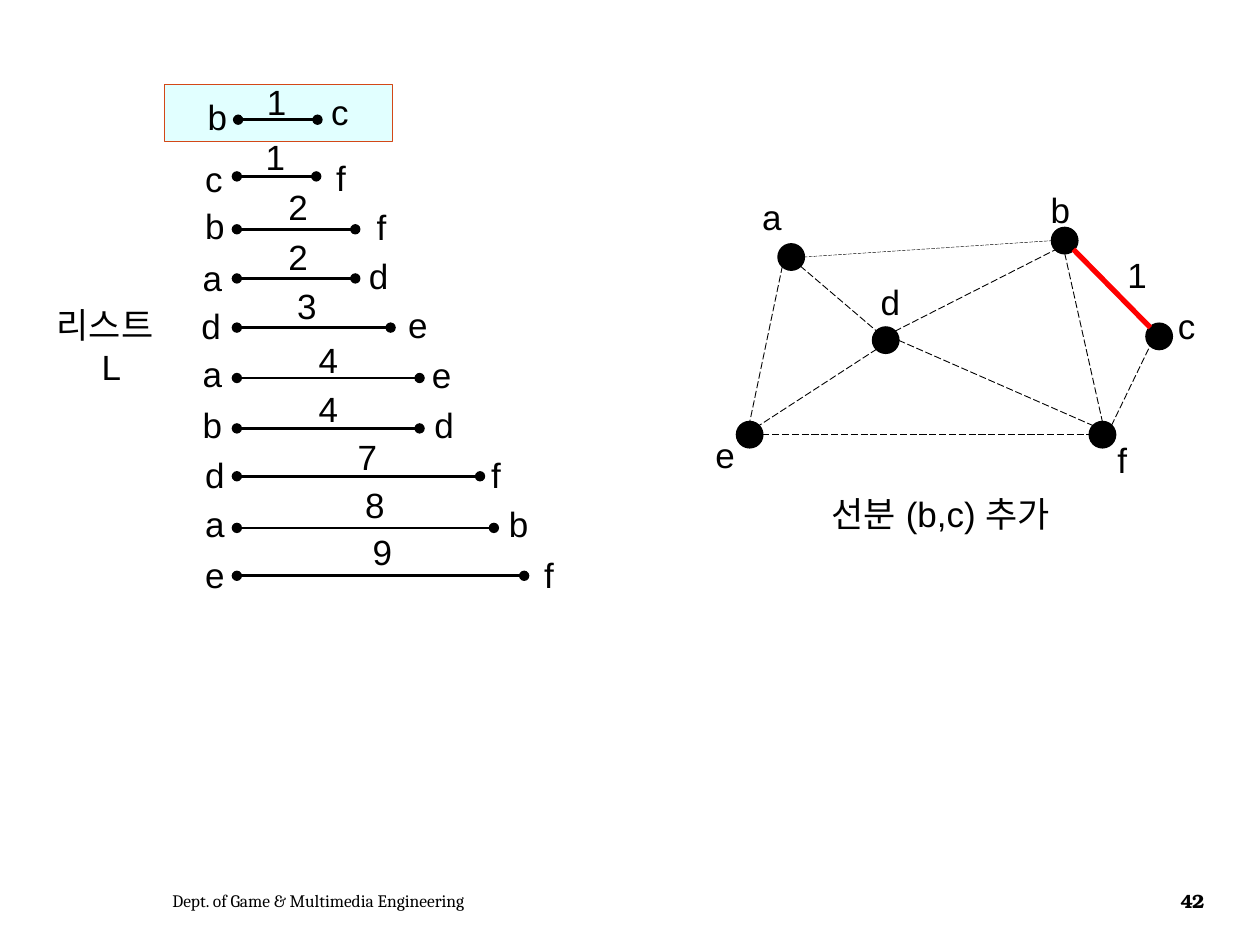
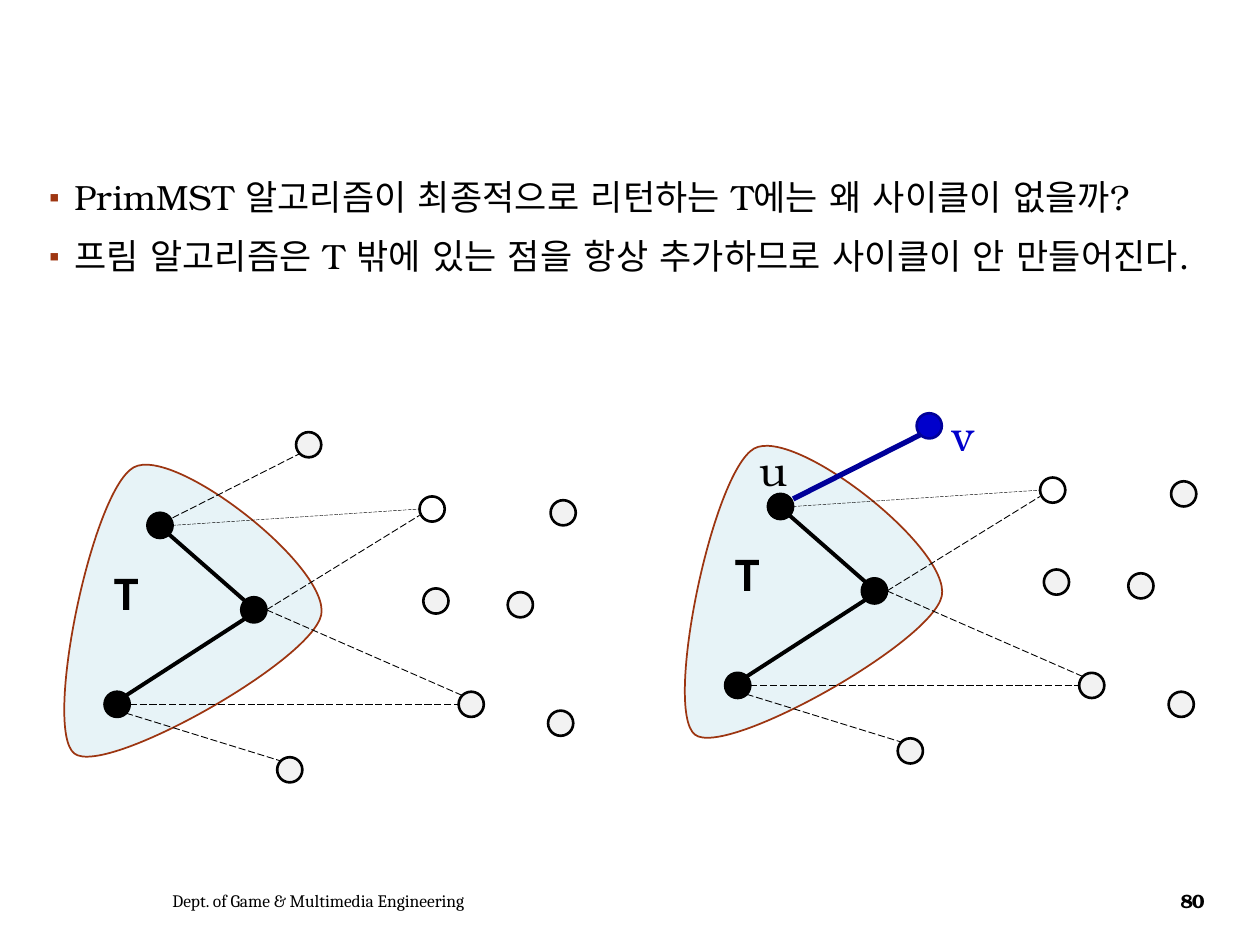
from dataclasses import dataclass
from typing import Any, NamedTuple

from lxml import etree
from pptx import Presentation, util as u
from pptx.dml.color import RGBColor
from pptx.enum import dml, shapes as sh, text
from pptx.oxml.ns import qn

WIDTH, HEIGHT = u.Inches(10), u.Inches(7.5)
COLS, ROWS = 100, 75


@dataclass(frozen=True)
class Theme:
    black: str = "000000"
    white: str = "FFFFFF"
    outside: str = "F2F2F2"
    picked: str = "FF0000"
    added: str = "0000CC"
    added_line: str = "000099"
    highlight: str = "E1FFFF"
    highlight_line: str = "D34817"
    tree: str = "DBEEF4"
    tree_line: str = "9C3511"
    bullet: str = "9E3611"
    label_font: str = "Arial"
    body_font: str = "TeX Gyre Bonum"
    footer_font: str = "Cambria"
    tree_font: str = "Noto Sans CJK KR"
    label_size: float = 20
    tree_size: float = 24
    footer_size: float = 10
    number_size: float = 11
    tree_opacity: int = 66


T = Theme()


class Point(NamedTuple):
    x: float
    y: float


class Pen(NamedTuple):
    color: str
    width: float
    dashed: bool = False
    dots: bool = False


class Font(NamedTuple):
    name: str
    size: float
    color: str = T.black
    bold: bool = False


class Edge(NamedTuple):
    start: str
    start_side: str
    end: str
    end_side: str
    pen: Pen


class Label(NamedTuple):
    text: str
    x: float
    y: float


class ListRow(NamedTuple):
    y: float
    x1: float
    x2: float
    weight: Label
    left: Label
    right: Label


DASH, FINE_DASH = Pen(T.black, 0.5, True), Pen(T.black, 0.25, True)
OUTLINE, TREE_EDGE = Pen(T.black, 1.5), Pen(T.black, 2.25)
SEGMENT = Pen(T.black, 1.5, dots=True)
LABEL = Font(T.label_font, T.label_size)
LETTER_WIDTHS = {"f": 2.9, "c": 3.4, "a": 3.5, "e": 3.6}
SIDES = {
    "n": (0, -1), "s": (0, 1), "w": (-1, 0), "e": (1, 0),
    "nw": (-0.7, -0.7), "ne": (0.7, -0.7), "sw": (-0.7, 0.7), "se": (0.7, 0.7),
    "ene": (1, -0.6), "wsw": (-1, 0.5),
}

GRAPH_NODES = {
    "a": Point(62.8, 20.4), "b": Point(84.5, 19.1), "d": Point(70.3, 27),
    "e": Point(59.5, 34.5), "c": Point(92, 26.7), "f": Point(87.5, 34.5),
}
GRAPH_EDGES = [
    Edge("a", "se", "d", "nw", DASH), Edge("d", "sw", "e", "ne", DASH),
    Edge("a", "sw", "e", "n", DASH), Edge("d", "e", "f", "nw", DASH),
    Edge("e", "e", "f", "w", DASH), Edge("a", "e", "b", "w", FINE_DASH),
    Edge("d", "ne", "b", "sw", DASH), Edge("c", "nw", "b", "se", Pen(T.picked, 3)),
    Edge("f", "ne", "c", "sw", DASH), Edge("b", "s", "f", "n", DASH),
]
GRAPH_LABELS = [
    Label("1", 88.5, 19.6), Label("a", 59.5, 15), Label("b", 82.4, 14.5),
    Label("c", 92.5, 23.7), Label("d", 68.9, 21.8), Label("e", 55.8, 33.9),
    Label("f", 87.7, 34.3),
]
LIST_ROWS = [
    ListRow(9.5, 18.9, 25.2, Label("1", 20.2, 5.9), Label("b", 15.5, 7.1), Label("c", 25.3, 6.7)),
    ListRow(14, 18.8, 25.1, Label("1", 20.1, 10.3), Label("c", 15.3, 12), Label("f", 25.7, 11.9)),
    ListRow(18.2, 18.8, 28.2, Label("2", 21.9, 14.2), Label("b", 15.3, 15.7), Label("f", 28.9, 15.8)),
    ListRow(22.1, 18.8, 28.2, Label("2", 21.9, 18.2), Label("a", 15.1, 19.9), Label("d", 28.3, 19.7)),
    ListRow(26, 18.8, 31, Label("3", 22.6, 22.1), Label("d", 15, 23.7), Label("e", 31.4, 23.6)),
    ListRow(30, 18.8, 33.3, Label("4", 24.3, 26.4), Label("a", 15.1, 27.5), Label("e", 33.3, 27.6)),
    ListRow(34, 18.8, 33.3, Label("4", 24.3, 30.3), Label("b", 15.1, 31.5), Label("d", 33.5, 31.5)),
    ListRow(37.8, 18.8, 38.1, Label("7", 27.4, 34.1), Label("d", 15.3, 35.5), Label("f", 38, 35.5)),
    ListRow(41.9, 18.8, 39.2, Label("8", 28, 37.9), Label("a", 15.3, 39.4), Label("b", 39.4, 39.4)),
    ListRow(45.7, 18.8, 41.6, Label("9", 28.6, 41.6), Label("e", 15.3, 43.4), Label("f", 42.2, 43.4)),
]

TREE_NODES = {"u": Point(12.7, 41.7), "mid": Point(20.15, 48.4), "low": Point(9.3, 55.9)}
OUTSIDE_NODES = {
    "near": Point(34.3, 40.4), "far": Point(37.4, 55.9), "bottom": Point(23, 61.1),
    "v": Point(24.5, 35.3),
}
LOOSE_NODES = [Point(41.3, 48), Point(44.5, 57.4), Point(34.6, 47.7), Point(44.7, 40.7)]
PRIM_EDGES = [
    Edge("u", "se", "mid", "nw", TREE_EDGE), Edge("mid", "sw", "low", "ne", TREE_EDGE),
    Edge("mid", "e", "far", "nw", DASH), Edge("low", "e", "far", "w", DASH),
    Edge("u", "e", "near", "w", FINE_DASH), Edge("low", "se", "bottom", "nw", DASH),
    Edge("mid", "e", "near", "wsw", DASH),
]
RIGHT_OFFSET = Point(49.25, -1.5)
BLOB_CORNER, BLOB_SIZE = Point(5.1, 36.9), Point(20.4, 23.1)
BLOB_START = Point(5.9, 59.8)
BLOB_CURVES = [
    (Point(3.4, 57.8), Point(7.3, 39), Point(10.6, 37.1)),
    (Point(13.8, 35.3), Point(26.2, 45), Point(25.5, 48.8)),
    (Point(24.7, 52.5), Point(8.3, 61.7), BLOB_START),
]
BODY_LINES = [
    "PrimMST 알고리즘이 최종적으로 리턴하는 T에는 왜 사이클이 없을까?",
    "프림 알고리즘은 T 밖에 있는 점을 항상 추가하므로 사이클이 안 만들어진다.",
]


def col(n: float) -> int:
    return round(WIDTH * n / COLS)


def row(n: float) -> int:
    return round(HEIGHT * n / ROWS)


def box(x: float, y: float, w: float, h: float) -> tuple[int, int, int, int]:
    return col(x), row(y), col(w), row(h)


def move(p: Point, by: Point) -> Point:
    return Point(p.x + by.x, p.y + by.y)


def style_runs(p: Any, font: Font) -> None:
    for r in p.runs:
        r.font.name, r.font.size, r.font.bold = font.name, u.Pt(font.size), font.bold
        r.font.color.rgb = RGBColor.from_string(font.color)
        etree.SubElement(r.font._element, qn("a:ea"), typeface=font.name)


def style_line(line: Any, pen: Pen) -> None:
    line.color.rgb = RGBColor.from_string(pen.color)
    line.width = u.Pt(pen.width)
    if pen.dashed:
        line.dash_style = dml.MSO_LINE.LONG_DASH
    if pen.dots:
        for end in ("a:headEnd", "a:tailEnd"):
            etree.SubElement(line._ln, qn(end), type="oval")


def style_shape(sp: Any, fill: str, pen: Pen) -> None:
    sp.shadow.inherit = False
    sp.fill.solid()
    sp.fill.fore_color.rgb = RGBColor.from_string(fill)
    style_line(sp.line, pen)


def add_text(shapes: Any, content: str, area: tuple[int, int, int, int], font: Font,
             align: Any = text.PP_ALIGN.LEFT, wrap: bool = True, grow: bool = True) -> Any:
    tf = shapes.add_textbox(*area).text_frame
    tf.word_wrap = wrap
    tf.auto_size = text.MSO_AUTO_SIZE.SHAPE_TO_FIT_TEXT if grow else text.MSO_AUTO_SIZE.NONE
    tf.text = content
    for p in tf.paragraphs:
        p.alignment = align
        style_runs(p, font)
    return tf


def add_label(shapes: Any, label: Label) -> None:
    width = LETTER_WIDTHS.get(label.text, 3.7)
    add_text(shapes, label.text, box(label.x, label.y, width, 4.4), LABEL, wrap=False)


def add_node(shapes: Any, center: Point, fill: str, pen: Pen = OUTLINE) -> None:
    sp = shapes.add_shape(sh.MSO_SHAPE.OVAL, *box(center.x - 1, center.y - 1, 2, 2))
    style_shape(sp, fill, pen)


def add_line(shapes: Any, start: Point, end: Point, pen: Pen) -> None:
    line = shapes.add_connector(sh.MSO_CONNECTOR.STRAIGHT, col(start.x), row(start.y),
                                col(end.x), row(end.y))
    style_line(line.line, pen)
    etree.SubElement(line._element.spPr, qn("a:effectLst"))


def add_edge(shapes: Any, nodes: dict[str, Point], edge: Edge) -> None:
    add_line(shapes, move(nodes[edge.start], Point(*SIDES[edge.start_side])),
             move(nodes[edge.end], Point(*SIDES[edge.end_side])), edge.pen)


def add_footer(s: Any, number: str) -> None:
    tf = add_text(s.shapes, "Dept. of Game & Multimedia Engineering", box(12.7, 69.5, 45.9, 4),
                  Font(T.footer_font, T.footer_size), grow=False)
    tf.vertical_anchor = text.MSO_ANCHOR.MIDDLE
    tf = add_text(s.shapes, number, box(92, 69.5, 5.3, 4),
                  Font(T.body_font, T.number_size, bold=True), text.PP_ALIGN.CENTER, grow=False)
    tf.vertical_anchor = text.MSO_ANCHOR.MIDDLE
    tf.paragraphs[0].runs[0].font._element.set("spc", "-70")


def add_path_step(path: Any, tag: str, points: tuple[Point, ...]) -> None:
    step = etree.SubElement(path, qn(tag))
    for p in points:
        etree.SubElement(step, qn("a:pt"), x=str(col(p.x - BLOB_CORNER.x)),
                         y=str(row(p.y - BLOB_CORNER.y)))


def add_tree_blob(shapes: Any, offset: Point) -> None:
    corner = move(BLOB_CORNER, offset)
    opposite = move(corner, BLOB_SIZE)
    outline = shapes.build_freeform(col(corner.x), row(corner.y))
    outline.add_line_segments([(col(opposite.x), row(opposite.y))])
    sp = outline.convert_to_shape()
    path = sp._element.spPr.find(".//" + qn("a:path"))
    for step in list(path):
        path.remove(step)
    add_path_step(path, "a:moveTo", (BLOB_START,))
    for curve in BLOB_CURVES:
        add_path_step(path, "a:cubicBezTo", curve)
    add_path_step(path, "a:close", ())
    style_shape(sp, T.tree, Pen(T.tree_line, 1))
    color = sp._element.spPr.find(qn("a:solidFill"))[0]
    etree.SubElement(color, qn("a:alpha"), val=str(T.tree_opacity * 1000))


def add_prim_diagram(shapes: Any, offset: Point, v_fill: str, v_pen: Pen, v_edge: Pen) -> None:
    nodes = {name: move(p, offset) for name, p in (TREE_NODES | OUTSIDE_NODES).items()}
    fills = dict.fromkeys(TREE_NODES, T.black) | {"near": T.white, "v": v_fill}
    add_tree_blob(shapes, offset)
    for name, center in nodes.items():
        add_node(shapes, center, fills.get(name, T.outside), v_pen if name == "v" else OUTLINE)
    for edge in [*PRIM_EDGES, Edge("u", "ene", "v", "sw", v_edge)]:
        add_edge(shapes, nodes, edge)
    for center in LOOSE_NODES:
        add_node(shapes, move(center, offset), T.outside)
    add_text(shapes, "T", box(5.7 + offset.x, 44.6 + offset.y, 8.7, 5),
             Font(T.tree_font, T.tree_size, bold=True), text.PP_ALIGN.CENTER)


def add_bullets(tf: Any, lines: list[str]) -> None:
    tf.text = "\n".join(lines)
    tf.auto_size = text.MSO_AUTO_SIZE.NONE
    tf.vertical_anchor = text.MSO_ANCHOR.TOP
    for i, p in enumerate(tf.paragraphs):
        pPr = p._p.get_or_add_pPr()
        pPr.set("marL", str(u.Inches(0.2)))
        pPr.set("indent", str(-u.Inches(0.2)))
        color = etree.SubElement(pPr, qn("a:buClr"))
        etree.SubElement(color, qn("a:srgbClr"), val=T.bullet)
        etree.SubElement(pPr, qn("a:buSzPct"), val="85000")
        etree.SubElement(pPr, qn("a:buChar"), char="▪")
        p.line_spacing, p.space_before = 0.9, u.Pt(12 if i else 0)
        style_runs(p, Font(T.body_font, T.label_size))


def build_kruskal(prs: Any) -> None:
    s = prs.slides.add_slide(prs.slide_layouts[6])
    for center in GRAPH_NODES.values():
        add_node(s.shapes, center, T.black)
    for edge in GRAPH_EDGES:
        add_edge(s.shapes, GRAPH_NODES, edge)
    for label in GRAPH_LABELS:
        add_label(s.shapes, label)
    sp = s.shapes.add_shape(sh.MSO_SHAPE.RECTANGLE, *box(13, 6.7, 18.1, 4.5))
    style_shape(sp, T.highlight, Pen(T.highlight_line, 0.25))
    for item in LIST_ROWS:
        add_line(s.shapes, Point(item.x2, item.y), Point(item.x1, item.y), SEGMENT)
        for label in (item.weight, item.left, item.right):
            add_label(s.shapes, label)
    tf = add_text(s.shapes, "리스트\nL", box(3.5, 23.6, 10.7, 7.7), LABEL)
    tf.paragraphs[1].alignment = text.PP_ALIGN.CENTER
    add_text(s.shapes, "선분 (b,c) 추가", box(65, 38.6, 21, 4.4), LABEL)
    add_footer(s, "42")


def build_prim(prs: Any) -> None:
    s = prs.slides.add_slide(prs.slide_layouts[1])
    title, body = s.shapes.title, s.placeholders[1]
    title._element.getparent().remove(title._element)
    body.left, body.top, body.width, body.height = box(2.9, 13.8, 94.3, 53.7)
    add_bullets(body.text_frame, BODY_LINES)
    add_prim_diagram(s.shapes, RIGHT_OFFSET, T.added, Pen(T.added_line, 1.5),
                     Pen(T.added_line, 3))
    add_prim_diagram(s.shapes.add_group_shape().shapes, Point(0, 0), T.outside, OUTLINE, DASH)
    for label, color in ((Label("u", 59.3, 34.8), T.black), (Label("v", 74.6, 32), T.added)):
        add_text(s.shapes, label.text, box(label.x, label.y, 3.3, 5),
                 Font(T.body_font, T.tree_size, color))
    add_footer(s, "80")


def main() -> None:
    prs = Presentation()
    prs.slide_width, prs.slide_height = WIDTH, HEIGHT
    build_kruskal(prs)
    build_prim(prs)
    prs.save("out.pptx")


if __name__ == "__main__":
    main()
